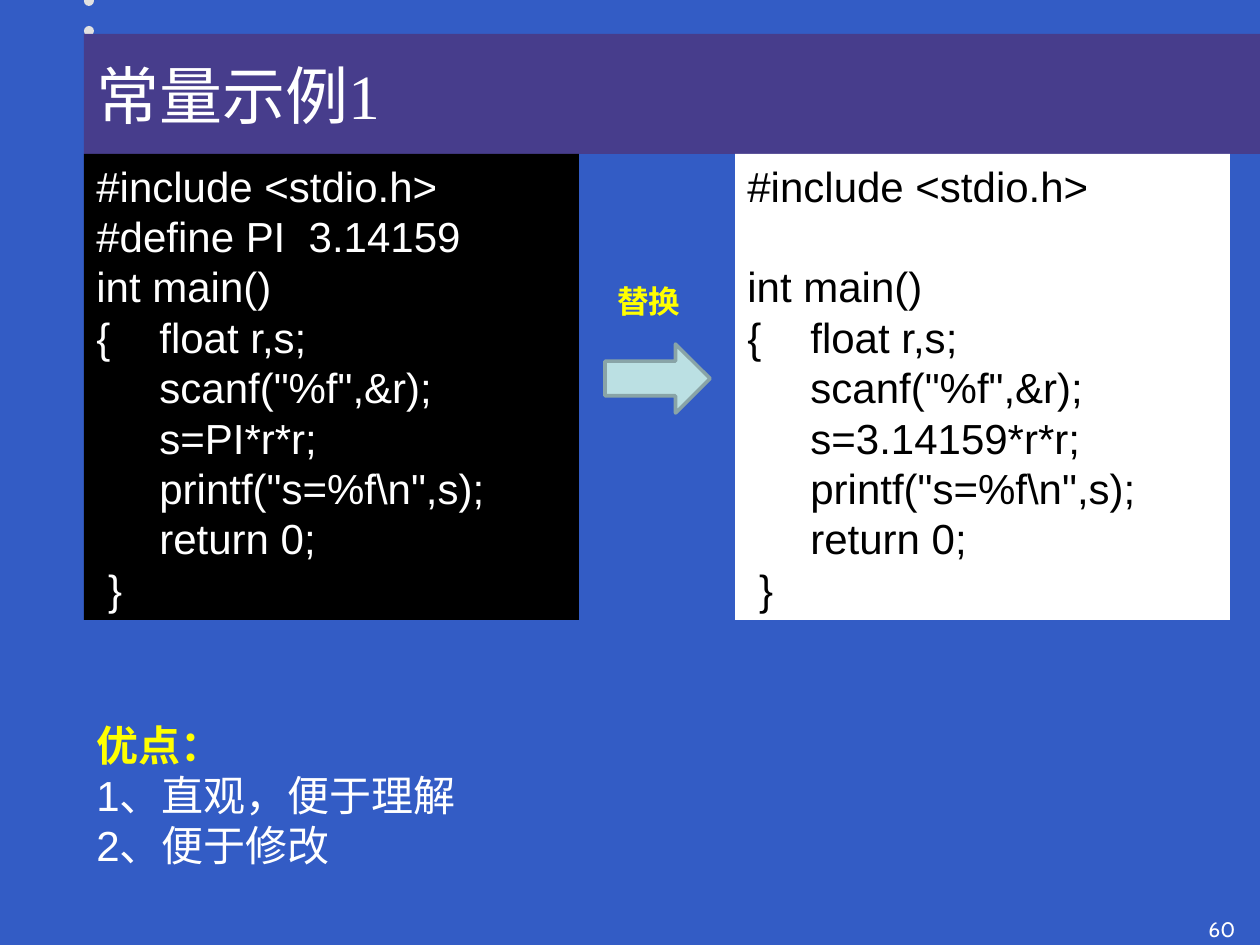
from dataclasses import dataclass

from lxml.etree import SubElement
from pptx import Presentation
from pptx.dml.color import RGBColor
from pptx.enum.shapes import MSO_SHAPE
from pptx.enum.text import MSO_ANCHOR, PP_ALIGN
from pptx.oxml.ns import qn
from pptx.util import Emu, Pt


@dataclass(frozen=True)
class Theme:
    background: str = "335CC5"
    dot: str = "E1E1E1"
    title_bar: str = "473D8C"
    arrow: str = "BBE0E3"
    arrow_edge: str = "89A4A7"
    white: str = "FFFFFF"
    black: str = "000000"
    accent: str = "FFFF00"
    title_size: int = 36
    body_size: int = 24
    label_size: int = 18
    number_size: int = 12


theme = Theme()
PX = 914400 / 126


def add_box(left, top, width, height, fill=None, kind=MSO_SHAPE.RECTANGLE):
    """Place a filled shape, or a text box when there is no fill."""
    frame = [Emu(round(length * PX)) for length in (left, top, width, height)]
    if fill is None:
        return slide.shapes.add_textbox(*frame)
    shape = slide.shapes.add_shape(kind, *frame)
    shape.shadow.inherit = False
    shape.fill.solid()
    shape.fill.fore_color.rgb = RGBColor.from_string(fill)
    shape.line.fill.background()
    return shape


def write(shape, text, size, color, font="Arial", anchor=MSO_ANCHOR.TOP):
    """Fill a shape with left-aligned paragraphs in one style."""
    text_frame = shape.text_frame
    text_frame.word_wrap = True
    text_frame.vertical_anchor = anchor
    text_frame.text = text
    for paragraph in text_frame.paragraphs:
        paragraph.alignment = PP_ALIGN.LEFT
        for run in paragraph.runs:
            run.font.name = font
            run.font.size = Pt(size)
            run.font.color.rgb = RGBColor.from_string(color)
        if not paragraph.runs:  # an empty code line keeps its full height
            SubElement(paragraph._p, qn("a:endParaRPr"), sz=str(size * 100))
    return text_frame.paragraphs


presentation = Presentation()
presentation.slide_width = Emu(round(1260 * PX))
presentation.slide_height = Emu(round(945 * PX))
slide = presentation.slides.add_slide(presentation.slide_layouts[6])
slide.background.fill.solid()
slide.background.fill.fore_color.rgb = RGBColor.from_string(theme.background)

# Decorative dots above the title bar
for dot_top in (-4, 26):
    add_box(84, dot_top, 10, 10, theme.dot, MSO_SHAPE.OVAL)

# Page number
write(add_box(1196, 910, 64, 35), "60", theme.number_size, theme.white, "Cabin")

# Title bar
title = add_box(84, 34, 1176, 120, theme.title_bar)
write(title, "常量示例1", theme.title_size, theme.white,
      "Times New Roman", MSO_ANCHOR.MIDDLE)

# Code before and after the constant is replaced
code_panels = [
    (84, theme.black, theme.white, "#define PI  3.14159", "PI"),
    (735, theme.white, theme.black, "", "3.14159"),
]
for left, fill, color, definition, value in code_panels:
    code = "\n".join([
        "#include <stdio.h>",
        definition,
        "int main()",
        "{\tfloat r,s;",
        '\tscanf("%f",&r);',
        f"\ts={value}*r*r;",
        '\tprintf("s=%f\\n",s);',
        "\treturn 0;",
        " }",
    ])
    write(add_box(left, 154, 495, 466, fill), code, theme.body_size, color)

# Replacement arrow and its label
arrow = add_box(605, 344, 105, 69, theme.arrow, MSO_SHAPE.RIGHT_ARROW)
arrow.line.color.rgb = RGBColor.from_string(theme.arrow_edge)
arrow.line.width = Pt(2)
label = write(add_box(605, 276, 93, 50), "替换", theme.label_size, theme.accent)
label[0].runs[0].font.bold = True

# Advantages, with a highlighted heading
advantages = write(add_box(84, 713, 1091, 164),
                   "优点：\n1、直观，便于理解\n2、便于修改",
                   theme.body_size, theme.white)
heading = advantages[0].runs[0]
heading.font.bold = True
heading.font.color.rgb = RGBColor.from_string(theme.accent)

presentation.save("out.pptx")
